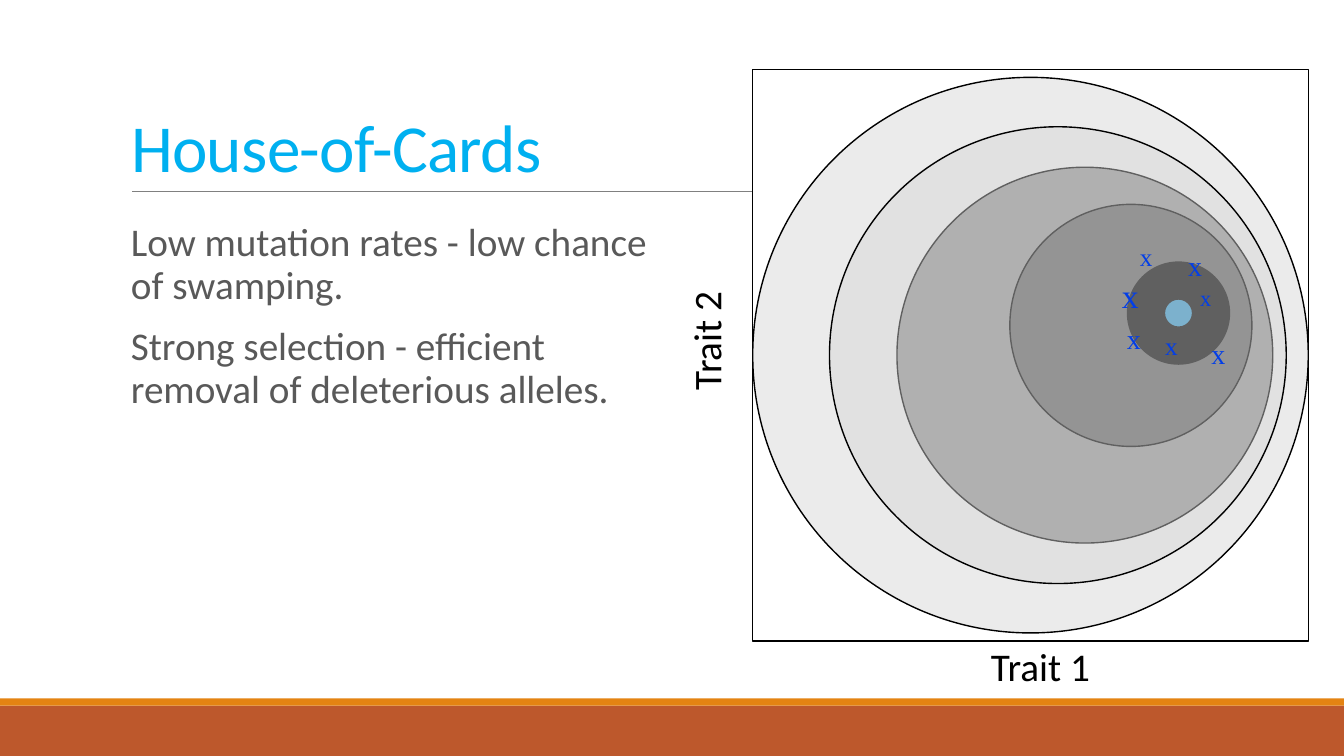
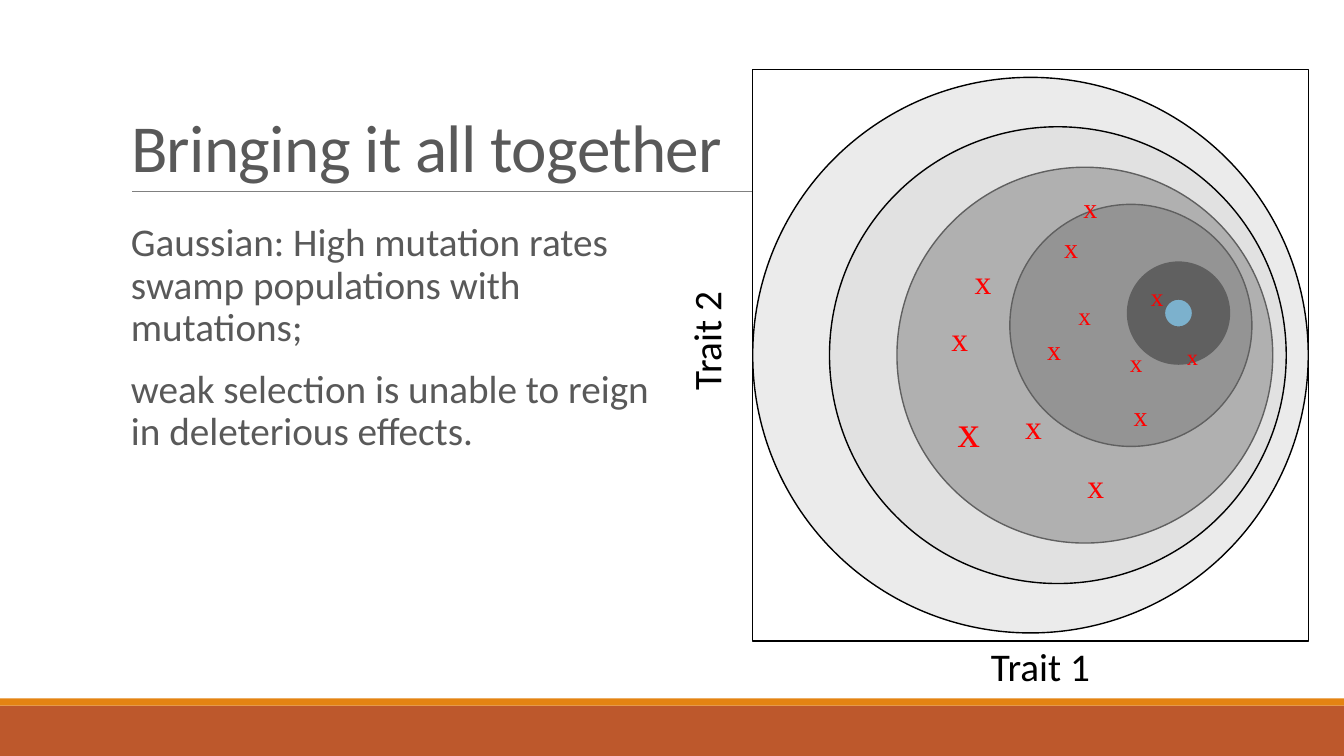
from dataclasses import dataclass
from typing import NamedTuple, Optional

from lxml.etree import SubElement
from pptx import Presentation
from pptx.dml.color import RGBColor
from pptx.enum.shapes import MSO_CONNECTOR, MSO_SHAPE
from pptx.enum.text import MSO_ANCHOR, MSO_AUTO_SIZE, PP_ALIGN
from pptx.oxml.ns import qn
from pptx.util import Cm, Pt


@dataclass(frozen=True)
class Theme:
    band: str = "BD582C"
    band_edge: str = "E48312"
    rule: str = "808080"
    text: str = "595959"
    highlight: str = "00B0F0"
    outline: str = "000000"
    paper: str = "FFFFFF"
    blue_mark: str = "023EE8"
    red_mark: str = "FF0000"
    font: str = "Calibri"
    mark_font: str = "Times New Roman"
    title_size: int = 48
    body_size: int = 28


THEME = Theme()
SLIDE_WIDTH, SLIDE_HEIGHT = 33.87, 19.05
POINT = 2.54 / 72  # centimetres


class Box(NamedTuple):
    left: float
    top: float
    width: float
    height: float

    def lengths(self) -> tuple:
        return tuple(Cm(value) for value in self)


class Circle(NamedTuple):
    x: float
    y: float
    diameter: float
    fill: str
    opacity: int = 100


class Mark(NamedTuple):
    """An x on the landscape, placed by its centre."""
    x: float
    y: float
    size: int


@dataclass(frozen=True)
class LandscapeSlide:
    title: str
    title_color: str
    paragraphs: tuple[str, ...]
    mark_color: str
    marks: tuple[Mark, ...]


FRAME = Box(18.97, 1.75, 14, 14.4)
CIRCLES = (
    Circle(25.97, 8.95, 14, "EBEBEB"),
    Circle(27.34, 8.95, 9.47, "929292"),
    Circle(28.5, 8.2, 6.1, "5E5E5E"),
    Circle(29.7, 7.89, 2.57, "000000"),
    Circle(29.7, 7.89, 0.71, "3394C6"),
    Circle(26.66, 8.95, 11.51, "D6D6D6", opacity=45),
)

SLIDES = (
    LandscapeSlide(
        "House-of-Cards",
        THEME.highlight,
        (
            "Low mutation rates - low chance of swamping.",
            "Strong selection - efficient removal of deleterious alleles.",
        ),
        THEME.blue_mark,
        (
            Mark(30.12, 6.68, 20), Mark(28.49, 7.44, 24), Mark(29.53, 8.71, 18),
            Mark(30.71, 8.89, 20), Mark(30.39, 7.51, 16), Mark(28.58, 8.53, 20),
            Mark(28.89, 6.45, 18),
        ),
    ),
    LandscapeSlide(
        "Bringing it all together",
        THEME.text,
        (
            "Gaussian: High mutation rates swamp populations with mutations;",
            "weak selection is unable to reign in deleterious effects.",
        ),
        THEME.red_mark,
        (
            Mark(27.48, 5.23, 20), Mark(27, 6.22, 20), Mark(24.78, 7.09, 24),
            Mark(28.64, 9.14, 18), Mark(26.57, 8.79, 20), Mark(27.34, 7.95, 18),
            Mark(26.05, 10.74, 24), Mark(30.06, 8.98, 16), Mark(29.17, 7.47, 18),
            Mark(28.75, 10.46, 20), Mark(24.19, 8.51, 24), Mark(24.42, 10.82, 32),
            Mark(27.62, 12.22, 24),
        ),
    ),
)


def centred_box(x: float, y: float, width: float, height: float) -> Box:
    return Box(x - width / 2, y - height / 2, width, height)


def format_font(font, color: str, size: int, name: str = THEME.font) -> None:
    font.name = name
    font.size = Pt(size)
    font.color.rgb = RGBColor.from_string(color)


def add_filled_shape(shapes, kind: MSO_SHAPE, box: Box, fill: str,
                     line: Optional[str] = None, opacity: int = 100) -> None:
    shape = shapes.add_shape(kind, *box.lengths())
    shape.shadow.inherit = False
    shape.fill.solid()
    shape.fill.fore_color.rgb = RGBColor.from_string(fill)
    if opacity < 100:
        color = shape.fill._xPr.find(f".//{qn('a:srgbClr')}")
        SubElement(color, qn("a:alpha"), val=str(opacity * 1000))
    if line is None:
        shape.line.fill.background()
    else:
        shape.line.color.rgb = RGBColor.from_string(line)
        shape.line.width = Pt(1)


def add_text(shapes, box: Box, *paragraphs: str, color: str, size: int,
             font: str = THEME.font, align: PP_ALIGN = PP_ALIGN.LEFT,
             wrap: bool = True, rotation: float = 0, side_inset: float = 0.25,
             line_spacing: float = 1, gap: float = 0):
    shape = shapes.add_textbox(*box.lengths())
    shape.rotation = rotation
    frame = shape.text_frame
    frame.word_wrap = wrap
    frame.margin_left = frame.margin_right = Cm(side_inset)
    for index, text in enumerate(paragraphs):
        paragraph = frame.add_paragraph() if index else frame.paragraphs[0]
        paragraph.text = text
        paragraph.alignment = align
        paragraph.line_spacing = line_spacing
        if index:
            paragraph.space_before = Pt(gap)
        format_font(paragraph.runs[0].font, color, size, font)
    return shape


def add_background(slide) -> None:
    """Draw the bottom bands and the rule under the title."""
    add_filled_shape(slide.shapes, MSO_SHAPE.RECTANGLE,
                     Box(0, 17.78, SLIDE_WIDTH, 1.27), THEME.band)
    add_filled_shape(slide.shapes, MSO_SHAPE.RECTANGLE,
                     Box(0, 17.6, SLIDE_WIDTH, 0.18), THEME.band_edge)
    rule = slide.shapes.add_connector(MSO_CONNECTOR.STRAIGHT, Cm(3.33), Cm(4.83),
                                      Cm(31.01), Cm(4.83))
    rule.line.color.rgb = RGBColor.from_string(THEME.rule)
    rule.line.width = Pt(0.5)
    SubElement(rule._element.spPr, qn("a:effectLst"))


def set_title(slide, text: str, color: str) -> None:
    title = slide.shapes.title
    title.left, title.top, title.width, title.height = Box(3.05, 0.79, 27.94, 4.04).lengths()
    frame = title.text_frame
    frame.text = text
    frame.word_wrap = True
    frame.auto_size = MSO_AUTO_SIZE.NONE
    frame.vertical_anchor = MSO_ANCHOR.BOTTOM
    paragraph = frame.paragraphs[0]
    paragraph.alignment = PP_ALIGN.LEFT
    paragraph.line_spacing = 0.85
    font = paragraph.runs[0].font
    format_font(font, color, THEME.title_size)
    font._element.set("spc", "-50")


def add_landscape(slide, marks: tuple[Mark, ...], color: str) -> None:
    """Draw the fitness landscape, its marks and its axis labels."""
    shapes = slide.shapes.add_group_shape().shapes
    add_filled_shape(shapes, MSO_SHAPE.RECTANGLE, FRAME, THEME.paper, THEME.outline)
    for circle in CIRCLES:
        box = centred_box(circle.x, circle.y, circle.diameter, circle.diameter)
        add_filled_shape(shapes, MSO_SHAPE.OVAL, box, circle.fill, THEME.outline,
                         circle.opacity)
    for mark in marks:
        box = centred_box(mark.x, mark.y, 0.51 + 0.5 * mark.size * POINT,
                          0.25 + 1.2 * mark.size * POINT)
        add_text(shapes, box, "x", color=color, size=mark.size,
                 font=THEME.mark_font, wrap=False)
    for label, left, top, rotation in (("Trait 1", 24.33, 16.05, 0),
                                       ("Trait 2", 15.9, 7.87, 270)):
        add_text(slide.shapes, Box(left, top, 3.78, 1.45), label, color=THEME.outline,
                 size=THEME.body_size, align=PP_ALIGN.CENTER, rotation=rotation)


def add_landscape_slide(presentation, content: LandscapeSlide) -> None:
    slide = presentation.slides.add_slide(presentation.slide_layouts.get_by_name("Title Only"))
    add_background(slide)
    set_title(slide, content.title, content.title_color)
    add_landscape(slide, content.marks, content.mark_color)
    add_text(slide.shapes, Box(3.3, 5.49, 13.85, 11.18), *content.paragraphs,
             color=THEME.text, size=THEME.body_size, side_inset=0,
             line_spacing=0.9, gap=14)


def main() -> None:
    presentation = Presentation()
    presentation.slide_width = Cm(SLIDE_WIDTH)
    presentation.slide_height = Cm(SLIDE_HEIGHT)
    for content in SLIDES:
        add_landscape_slide(presentation, content)
    presentation.save("out.pptx")


if __name__ == "__main__":
    main()
